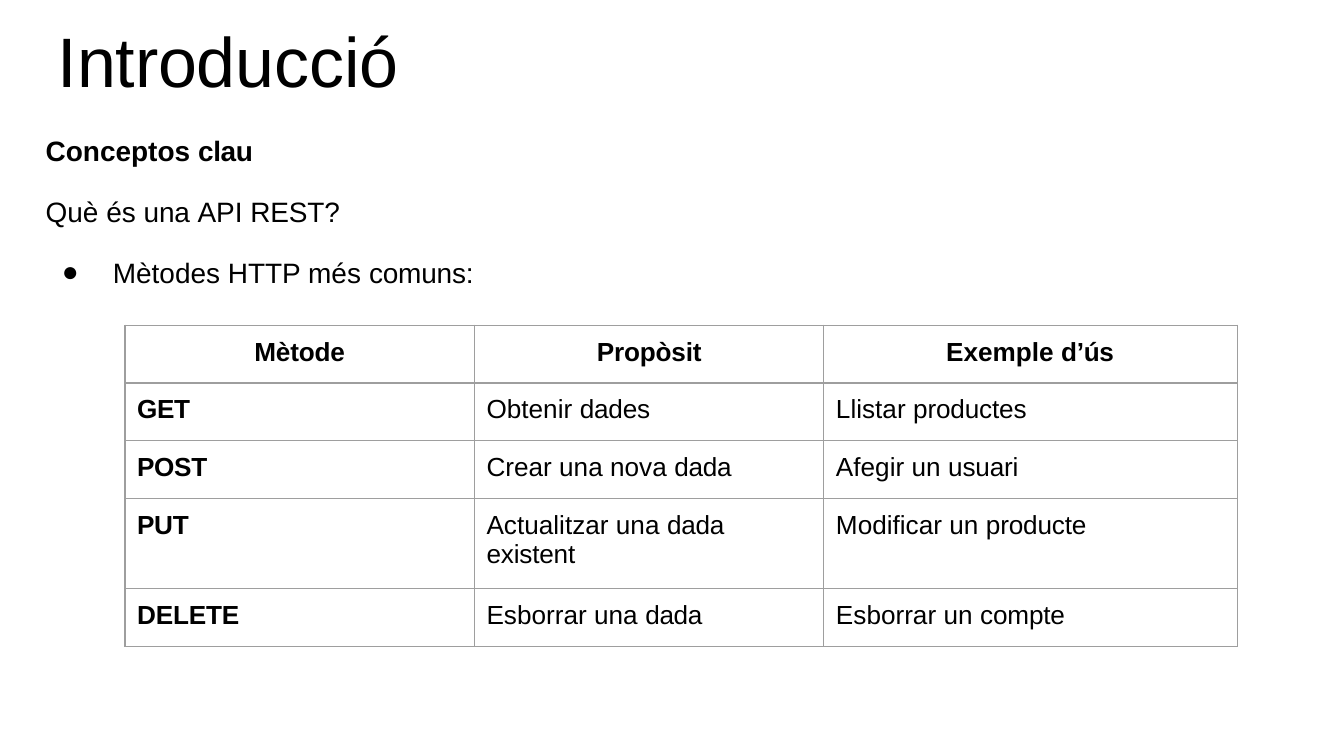
"""Builds the slide on common HTTP methods of a REST API."""
from lxml.etree import SubElement
from pptx import Presentation
from pptx.dml.color import RGBColor as RGB
from pptx.enum.text import MSO_AUTO_SIZE as AutoSize, PP_ALIGN as Align
from pptx.oxml.ns import qn
from pptx.util import Inches as In, Pt

THEME = {
    "font": "Arial", "ink": RGB.from_string("000000"), "rule": "9E9E9E",
    "title": 37.5, "body": 15, "cell": 14, "rule_width": 0.75,
}
SLIDE_W = 10
SLIDE_H = SLIDE_W * 9 / 16

TITLE = [("Introducció", -0.1)]
CONCEPTS = [
    {"runs": [("Conceptos ", 0), ("clau", -0.2)], "bold": True, "before": 1},
    {"runs": [("Què és ", 0), ("una ", -0.1), ("API ", 0), ("REST?", -0.1)], "before": 14.7},
    {"runs": [("Mètodes HTTP més ", 0), ("comuns:", -0.1)], "before": 14.7,
     "left": 0.51, "hang": -0.38, "bullet": "●"},
]
METHODS = [
    [[("Mètode", -0.1)], [("Propòsit", -0.1)], [("Exemple ", 0), ("d’ús", -0.2)]],
    [[("GET", -0.2)], [("Obtenir ", 0), ("dades", -0.1)],
     [("Llistar ", 0), ("productes", -0.1)]],
    [[("POST", -0.2)], [("Crear una nova ", 0), ("dada", -0.2)],
     [("Afegir un ", 0), ("usuari", -0.1)]],
    [[("PUT", -0.2)], [("Actualitzar una ", 0), ("dada ", -0.2), ("existent", -0.1)],
     [("Modificar un ", 0), ("producte", -0.1)]],
    [[("DELETE", -0.1)], [("Esborrar una ", 0), ("dada", -0.2)],
     [("Esborrar un ", 0), ("compte", -0.1)]],
]
COLUMN_WIDTHS = [2.6, 2.6, 3.08]
LINE_ROW, WRAPPED_ROW = 0.43, 0.67
ROW_HEIGHTS = [WRAPPED_ROW if row[0][0][0] == "PUT" else LINE_ROW for row in METHODS]
CELL_PAD = 0.09


def write(paragraph, runs, size, bold=False, before=0, left=0.01, hang=0,
          right=0, bullet=None, align=Align.LEFT):
    paragraph.alignment = align
    paragraph.space_before = Pt(before)
    properties = paragraph._p.get_or_add_pPr()
    for key, inches in (("marL", left), ("marR", right), ("indent", hang)):
        properties.set(key, str(In(inches)))
    if bullet:
        SubElement(properties, qn("a:buFont"), typeface=THEME["font"])
        SubElement(properties, qn("a:buChar"), char=bullet)
        tabs = SubElement(properties, qn("a:tabLst"))
        SubElement(tabs, qn("a:tab"), pos=str(In(left)), algn="l")
    for words, spacing in runs:
        run = paragraph.add_run()
        run.text = words
        run.font.name, run.font.size = THEME["font"], Pt(size)
        run.font.bold, run.font.color.rgb = bold, THEME["ink"]
        run._r.get_or_add_rPr().set("spc", str(round(spacing * 100)))


def add_text(slide, box, top_inset, paragraphs, size):
    frame = slide.shapes.add_textbox(*map(In, box)).text_frame
    frame.word_wrap, frame.auto_size = True, AutoSize.SHAPE_TO_FIT_TEXT
    frame.margin_left = frame.margin_right = frame.margin_bottom = 0
    frame.margin_top = In(top_inset)
    for index, content in enumerate(paragraphs):
        paragraph = frame.add_paragraph() if index else frame.paragraphs[0]
        write(paragraph, size=size, **content)


def frame_cell(cell):
    cell.margin_left = cell.margin_right = cell.margin_bottom = 0
    cell.margin_top = In(CELL_PAD)
    properties = cell._tc.get_or_add_tcPr()
    for side in ("lnL", "lnR", "lnT", "lnB"):
        line = SubElement(properties, qn(f"a:{side}"), w=str(Pt(THEME["rule_width"])))
        SubElement(SubElement(line, qn("a:solidFill")), qn("a:srgbClr"), val=THEME["rule"])
    cell.fill.background()


def add_methods(slide, left, top):
    table = slide.shapes.add_table(
        len(METHODS), len(COLUMN_WIDTHS), In(left), In(top),
        In(sum(COLUMN_WIDTHS)), In(sum(ROW_HEIGHTS))).table
    table.first_row = table.horz_banding = False
    for column, width in zip(table.columns, COLUMN_WIDTHS):
        column.width = In(width)
    for row, height in zip(table.rows, ROW_HEIGHTS):
        row.height = In(height)
    for r, method in enumerate(METHODS):
        for c, runs in enumerate(method):
            cell = table.cell(r, c)
            frame_cell(cell)
            if r:
                layout = {"left": CELL_PAD, "right": CELL_PAD}
            elif c == len(COLUMN_WIDTHS) - 1:
                layout = {"left": 0.91}
            else:
                layout = {"left": 0, "align": Align.CENTER}
            write(cell.text_frame.paragraphs[0], runs, THEME["cell"],
                  bold=r == 0 or c == 0, before=6.2, **layout)


def main():
    deck = Presentation()
    deck.slide_width, deck.slide_height = In(SLIDE_W), In(SLIDE_H)
    slide = deck.slides.add_slide(deck.slide_layouts[6])
    add_text(slide, (0.42, 0.11, 9.01, 0.66), 0.02,
             [{"runs": TITLE, "before": 1.3}], THEME["title"])
    add_text(slide, (0.33, 0.98, 3.22, 1.19), 0.01, CONCEPTS, THEME["body"])
    add_methods(slide, 0.93, 2.42)
    deck.save("out.pptx")


if __name__ == "__main__":
    main()
